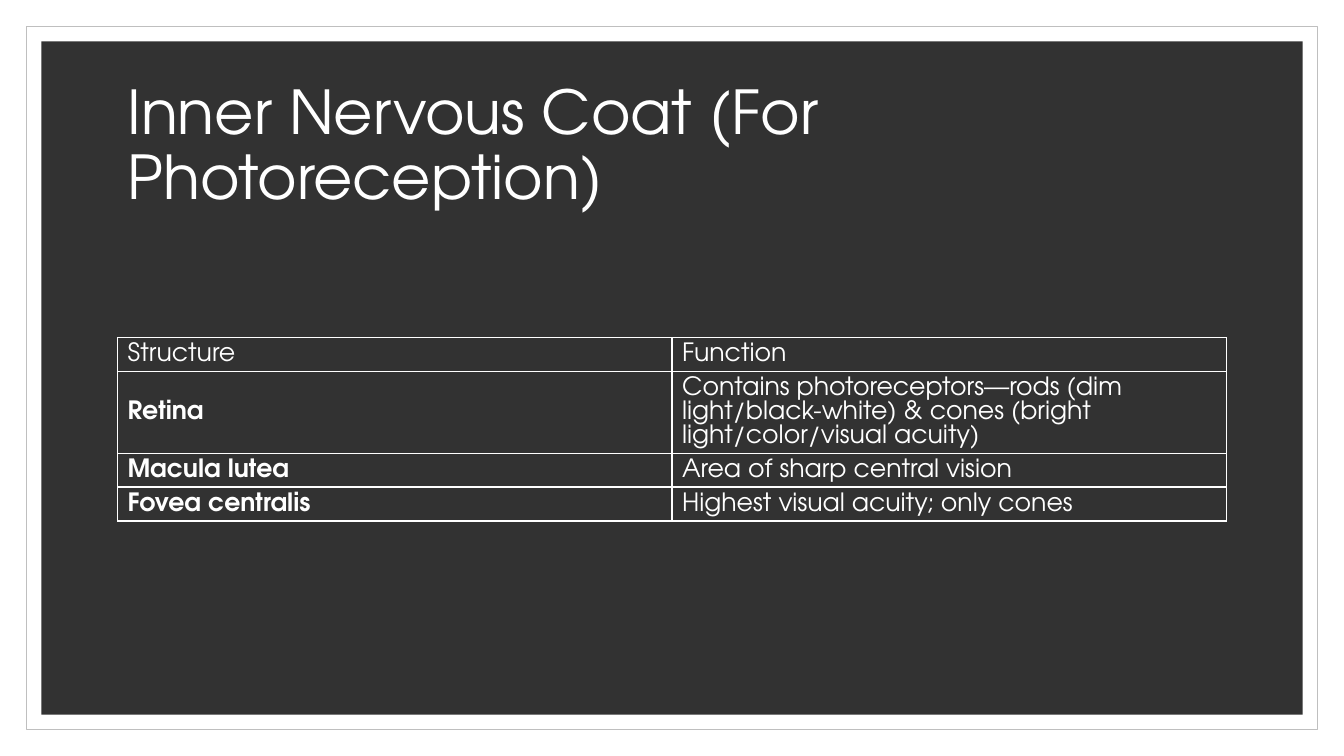
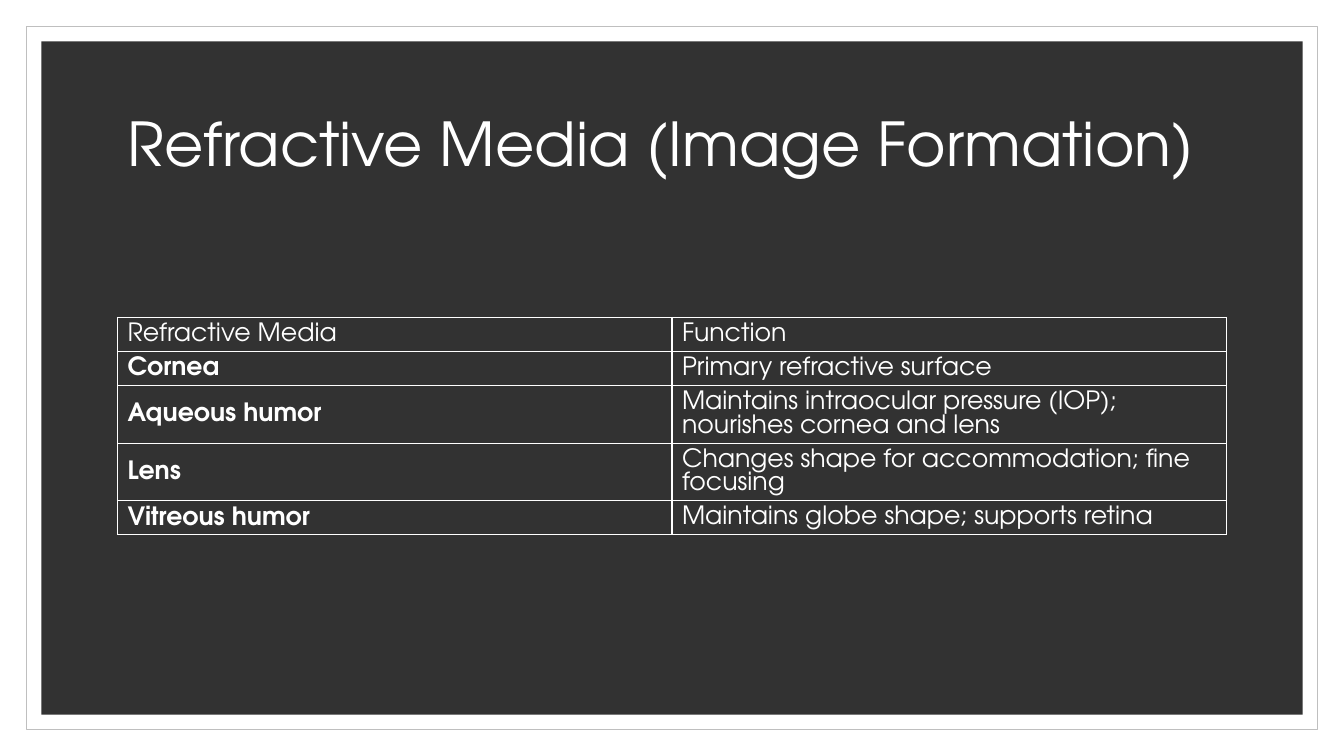
import pptx
import pptx.util
import pptx.dml.color
import pptx.enum.shapes
import pptx.enum.text
import pptx.oxml.ns
import lxml.etree

Inches = pptx.util.Inches
Pt = pptx.util.Pt
RGBColor = pptx.dml.color.RGBColor
MIDDLE = pptx.enum.text.MSO_ANCHOR.MIDDLE

# Shared look
WHITE = RGBColor(0xFF, 0xFF, 0xFF)
DARK = RGBColor(0x32, 0x32, 0x32)
GREY = RGBColor(0xBF, 0xBF, 0xBF)
FONT = "TeX Gyre Adventor"

# Grid: a centred block of two equal columns
WIDTH, HEIGHT = 13.33, 7.5
COL = 5.5
BLOCK = 2 * COL
LEFT = (WIDTH - BLOCK) / 2
LEAD = 17
PAD = 0.05

# Title, table top, rows of (text, text, lines in the row)
PAGES = [
    ("Inner Nervous Coat (For Photoreception)", 3.35, [
        ("Structure", "Function", 1),
        ("Retina", "Contains photoreceptors—rods (dim light/black-white) "
         "& cones (bright light/color/visual acuity)", 3),
        ("Macula lutea", "Area of sharp central vision", 1),
        ("Fovea centralis", "Highest visual acuity; only cones", 1),
    ]),
    ("Refractive Media (Image Formation)", 3.15, [
        ("Refractive Media", "Function", 1),
        ("Cornea", "Primary refractive surface", 1),
        ("Aqueous humor", "Maintains intraocular pressure (IOP); "
         "nourishes cornea and lens", 2),
        ("Lens", "Changes shape for accommodation; fine focusing", 2),
        ("Vitreous humor", "Maintains globe shape; supports retina", 1),
    ]),
]


def write(frame, text, size, lead, bold=False):
    """Put one white run into a text frame."""
    frame.word_wrap = True
    para = frame.paragraphs[0]
    para.line_spacing = Pt(lead)
    run = para.add_run()
    run.text = text
    run.font.name = FONT
    run.font.size = Pt(size)
    run.font.bold = bold
    run.font.color.rgb = WHITE


def edge(cell):
    """Draw a thin white line on all four sides of a cell."""
    props = cell._tc.get_or_add_tcPr()
    qn = pptx.oxml.ns.qn
    for side in ("a:lnL", "a:lnR", "a:lnT", "a:lnB"):
        line = lxml.etree.SubElement(props, qn(side), w=str(Pt(1)))
        fill = lxml.etree.SubElement(line, qn("a:solidFill"))
        lxml.etree.SubElement(fill, qn("a:srgbClr"), val=str(WHITE))


deck = pptx.Presentation()
deck.slide_width = Inches(WIDTH)
deck.slide_height = Inches(HEIGHT)

for title, top, rows in PAGES:
    slide = deck.slides.add_slide(deck.slide_layouts[6])

    # Outlined frame with a dark panel inside
    for inset, color, rim in ((0.26, WHITE, GREY), (0.41, DARK, None)):
        panel = slide.shapes.add_shape(
            pptx.enum.shapes.MSO_SHAPE.RECTANGLE,
            Inches(inset), Inches(inset),
            Inches(WIDTH - 2 * inset), Inches(HEIGHT - 2 * inset))
        panel.shadow.inherit = False
        panel.fill.solid()
        panel.fill.fore_color.rgb = color
        if rim:
            panel.line.color.rgb = rim
            panel.line.width = Pt(0.5)
        else:
            panel.line.fill.background()

    # Title
    head = slide.shapes.add_textbox(
        Inches(LEFT), Inches(0.7), Inches(BLOCK), Inches(1.5))
    head.text_frame.vertical_anchor = MIDDLE
    write(head.text_frame, title, 43.2, 47)

    # Table: row height follows the number of lines
    tall = [2 * PAD + lines * LEAD / 72 for _, _, lines in rows]
    table = slide.shapes.add_table(
        len(rows), 2, Inches(LEFT), Inches(top),
        Inches(BLOCK), Inches(sum(tall))).table
    table.first_row = False
    table.horz_banding = False
    for r, (name, role, _) in enumerate(rows):
        table.rows[r].height = Inches(tall[r])
        for c, text in enumerate((name, role)):
            cell = table.cell(r, c)
            cell.vertical_anchor = MIDDLE
            cell.margin_top = cell.margin_bottom = Inches(PAD)
            edge(cell)
            cell.fill.background()
            write(cell.text_frame, text, 18, LEAD, bold=r > 0 and c == 0)

deck.save("out.pptx")
